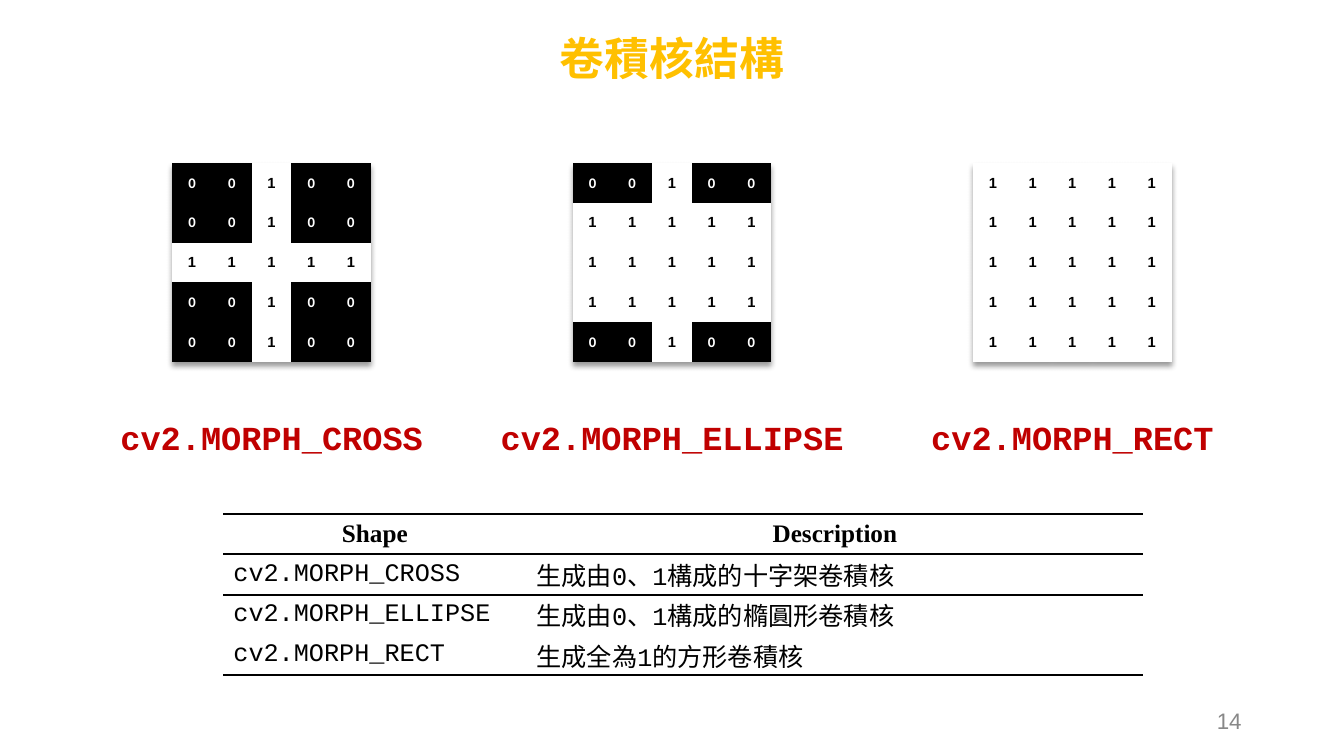
import pptx
import pptx.dml.color
import pptx.enum.text
import pptx.oxml
import pptx.oxml.ns
import pptx.util

Pt = pptx.util.Pt
RGBColor = pptx.dml.color.RGBColor
ALIGN = pptx.enum.text.PP_ALIGN
ANCHOR = pptx.enum.text.MSO_ANCHOR

BLACK = RGBColor(0x00, 0x00, 0x00)
WHITE = RGBColor(0xFF, 0xFF, 0xFF)
GOLD = RGBColor(0xFF, 0xC0, 0x00)
RED = RGBColor(0xC0, 0x00, 0x00)
GRAY = RGBColor(0x88, 0x88, 0x88)
CJK_FONT = "Noto Sans CJK SC"
NO_STYLE = "{2D5ABB26-0587-4C30-8999-92F81FD0307C}"

TITLE = "卷積核結構"
PAGE_NUMBER = "14"
KERNELS = [
    ("cv2.MORPH_CROSS", ["00100", "00100", "11111", "00100", "00100"]),
    ("cv2.MORPH_ELLIPSE", ["00100", "11111", "11111", "11111", "00100"]),
    ("cv2.MORPH_RECT", ["11111"] * 5),
]
DESCRIPTIONS = [
    ("Shape", "Description"),
    ("cv2.MORPH_CROSS", "生成由0、1構成的十字架卷積核"),
    ("cv2.MORPH_ELLIPSE", "生成由0、1構成的橢圓形卷積核"),
    ("cv2.MORPH_RECT", "生成全為1的方形卷積核"),
]

SLIDE_WIDTH, SLIDE_HEIGHT = 960, 540
KERNEL_TOP, KERNEL_CELL, KERNEL_STEP = 116.6, 28.4, 286
LABEL_TOP, LABEL_WIDTH, LABEL_HEIGHT = 294.5, 272, 36
DESCRIPTION_LEFT, DESCRIPTION_TOP, ROW_HEIGHT = 159.5, 367.2, 28.8
DESCRIPTION_WIDTHS = (216.5, 440.8)
RULE_WIDTH = 1.5


def drawing_element(xml):
    """Parse one element that uses the a: prefix."""
    namespace = pptx.oxml.ns.nsdecls("a")
    return pptx.oxml.parse_xml(xml.replace(" ", f" {namespace} ", 1))


def write(text_frame, text, size, font, color, bold=False, align=ALIGN.CENTER):
    text_frame.text = text
    paragraph = text_frame.paragraphs[0]
    paragraph.alignment = align
    paragraph.font.size = Pt(size)
    paragraph.font.name = font
    paragraph.font.bold = bold
    paragraph.font.color.rgb = color


def add_text(slide, left, top, width, height, text, *style, **options):
    box = slide.shapes.add_textbox(Pt(left), Pt(top), Pt(width), Pt(height))
    box.text_frame.word_wrap = True
    write(box.text_frame, text, *style, **options)
    return box.text_frame


def add_plain_table(slide, left, top, widths, heights):
    table = slide.shapes.add_table(
        len(heights), len(widths), Pt(left), Pt(top), Pt(sum(widths)), Pt(sum(heights))
    ).table
    table.first_row = table.horz_banding = False
    table._tbl.tblPr.find(pptx.oxml.ns.qn("a:tableStyleId")).text = NO_STYLE
    for column, width in zip(table.columns, widths):
        column.width = Pt(width)
    for row, height in zip(table.rows, heights):
        row.height = Pt(height)
    for cell in table.iter_cells():
        cell.vertical_anchor = ANCHOR.MIDDLE
        cell.margin_top = cell.margin_bottom = 0
    return table


def add_shadow(table):
    table._tbl.tblPr.insert(0, drawing_element(
        '<a:effectLst ><a:outerShdw blurRad="50800" dist="38100" dir="5400000" '
        'algn="t" rotWithShape="0"><a:srgbClr val="000000"><a:alpha val="40000"/>'
        '</a:srgbClr></a:outerShdw></a:effectLst>'))


def add_rule(cell, side):
    """Draw a black border on the cell's top (lnT) or bottom (lnB)."""
    cell._tc.get_or_add_tcPr().append(drawing_element(
        f'<a:{side} w="{Pt(RULE_WIDTH)}"><a:solidFill><a:srgbClr val="{BLACK}"/>'
        f'</a:solidFill></a:{side}>'))


def add_kernel(slide, center, name, rows):
    sizes = [KERNEL_CELL] * len(rows)
    table = add_plain_table(slide, center - sum(sizes) / 2, KERNEL_TOP, sizes, sizes)
    add_shadow(table)
    for cell, value in zip(table.iter_cells(), "".join(rows)):
        font, ink, paper = ("Arial", BLACK, WHITE) if value == "1" else ("Calibri", WHITE, BLACK)
        write(cell.text_frame, value, 10.5, font, ink, bold=True)
        cell.fill.solid()
        cell.fill.fore_color.rgb = paper
    add_text(slide, center - LABEL_WIDTH / 2, LABEL_TOP, LABEL_WIDTH, LABEL_HEIGHT,
             name, 24, "Courier New", RED, bold=True)


def add_descriptions(slide):
    table = add_plain_table(slide, DESCRIPTION_LEFT, DESCRIPTION_TOP, DESCRIPTION_WIDTHS,
                            [ROW_HEIGHT] * len(DESCRIPTIONS))
    last = len(DESCRIPTIONS) - 1
    for row, texts in enumerate(DESCRIPTIONS):
        for column, text in enumerate(texts):
            cell = table.cell(row, column)
            header = row == 0
            write(cell.text_frame, text, 18,
                  "Times New Roman" if header else "Courier New", BLACK,
                  bold=header, align=ALIGN.CENTER if header else ALIGN.LEFT)
            if row in (0, 1):
                add_rule(cell, "lnT")
            if row in (0, last):
                add_rule(cell, "lnB")
            cell.fill.background()


def add_title(slide):
    title = slide.shapes.title
    title.left, title.top, title.width, title.height = Pt(240), Pt(16.6), Pt(480), Pt(48)
    frame = title.text_frame
    frame.vertical_anchor = ANCHOR.TOP
    frame.margin_left = frame.margin_right = Pt(9.4)
    frame.margin_top = frame.margin_bottom = Pt(5)
    write(frame, TITLE, 32, CJK_FONT, GOLD, bold=True)
    run_properties = frame.paragraphs[0].runs[0].font._element
    run_properties.append(drawing_element(f'<a:ea typeface="{CJK_FONT}"/>'))


def main():
    presentation = pptx.Presentation()
    presentation.slide_width, presentation.slide_height = Pt(SLIDE_WIDTH), Pt(SLIDE_HEIGHT)
    slide = presentation.slides.add_slide(presentation.slide_layouts[5])
    add_title(slide)
    for index, (name, rows) in enumerate(KERNELS):
        add_kernel(slide, SLIDE_WIDTH / 2 + (index - 1) * KERNEL_STEP, name, rows)
    add_descriptions(slide)
    number = add_text(slide, 678, 500.5, 216, 28.8, PAGE_NUMBER, 16, "Arial", GRAY,
                      align=ALIGN.RIGHT)
    number.vertical_anchor = ANCHOR.MIDDLE
    presentation.save("out.pptx")


if __name__ == "__main__":
    main()
